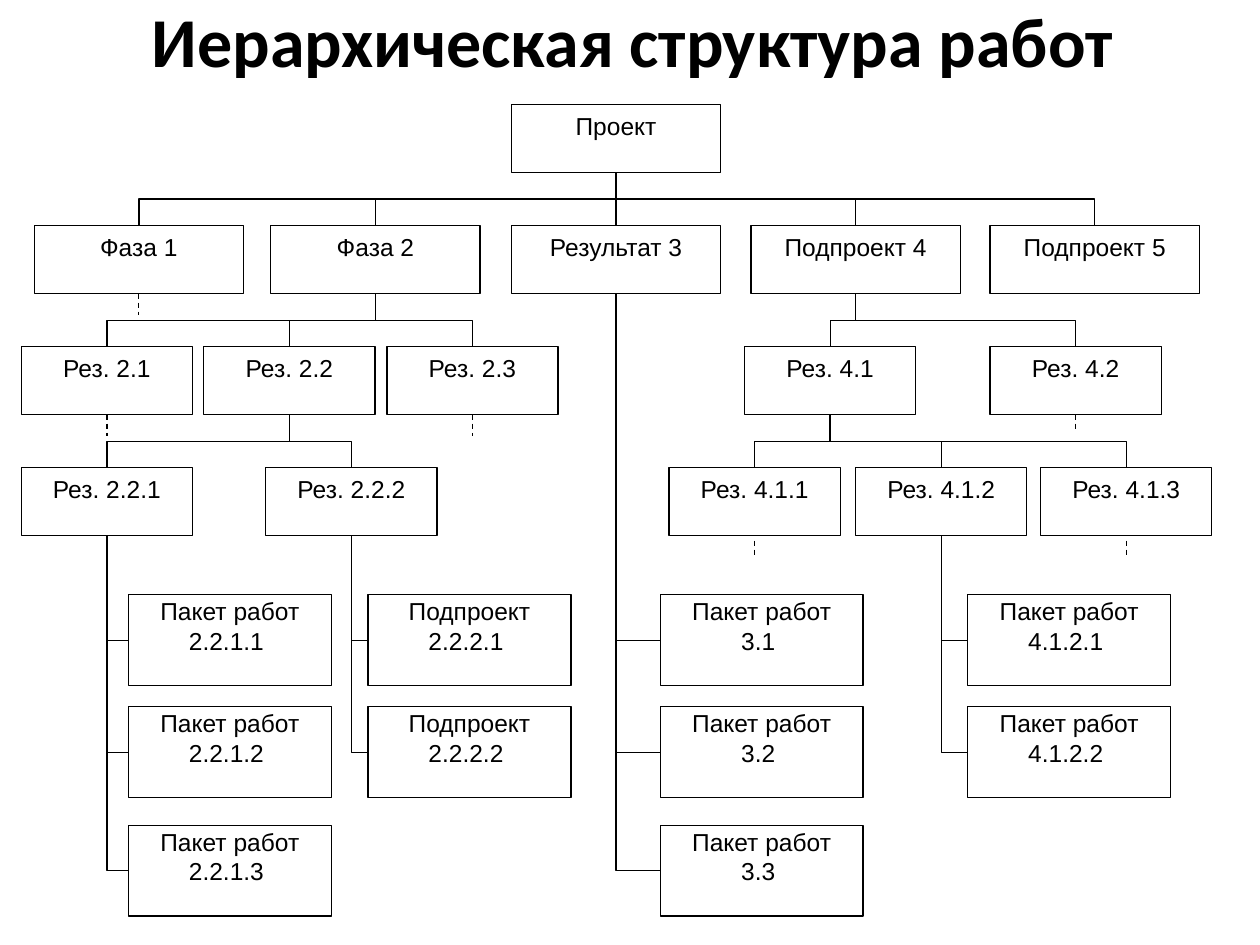
"""Build the work breakdown structure slide."""
from dataclasses import dataclass

from lxml import etree
from pptx import Presentation
from pptx.dml.color import RGBColor
from pptx.enum.dml import MSO_LINE
from pptx.enum.shapes import MSO_CONNECTOR, MSO_SHAPE
from pptx.enum.text import MSO_ANCHOR, MSO_AUTO_SIZE, PP_ALIGN
from pptx.oxml.ns import qn
from pptx.shapes.autoshape import Shape
from pptx.shapes.connector import Connector
from pptx.slide import Slide
from pptx.util import Cm, Pt

RECTANGLE = MSO_SHAPE.RECTANGLE
STRAIGHT, ELBOW = MSO_CONNECTOR.STRAIGHT, MSO_CONNECTOR.ELBOW
DASH = MSO_LINE.DASH
TOP = MSO_ANCHOR.TOP
CENTER = PP_ALIGN.CENTER
FIT_SHAPE = MSO_AUTO_SIZE.SHAPE_TO_FIT_TEXT
TOP_SIDE, LEFT_SIDE, BOTTOM_SIDE = 0, 1, 2

BLACK, WHITE = "000000", "FFFFFF"
LINE_WIDTH = Pt(0.75)
FIRST_TOP, LEVEL_STEP, BOX_HEIGHT = 2.11, 2.44, 1.37
WIDE, NARROW = 4.22, 3.45
PACKAGE_TOPS = (11.99, 14.25, 16.64)
PACKAGE_WIDTH, PACKAGE_HEIGHT = 4.09, 1.83
LOOSE_INSET, TIGHT_INSET = 0.25, 0.05


@dataclass(frozen=True)
class Node:
    """A box of the tree, placed by its level and named by its code."""

    code: str
    kind: str
    level: int
    left: float
    inset: float = LOOSE_INSET


@dataclass(frozen=True)
class PackageColumn:
    """A stack of numbered boxes hanging from one parent."""

    parent: str
    kind: str
    left: float
    count: int


@dataclass(frozen=True)
class Stub:
    """A dashed line that hints at hidden children."""

    code: str
    length: float
    gap: float = 0


NODES = (
    Node("", "Проект", 0, 10.31),
    Node("1", "Фаза", 1, 0.69),
    Node("2", "Фаза", 1, 5.46),
    Node("3", "Результат", 1, 10.31, TIGHT_INSET),
    Node("4", "Подпроект", 1, 15.14, TIGHT_INSET),
    Node("5", "Подпроект", 1, 19.96, TIGHT_INSET),
    Node("2.1", "Рез.", 2, 0.43),
    Node("2.2", "Рез.", 2, 4.11),
    Node("2.3", "Рез.", 2, 7.8),
    Node("4.1", "Рез.", 2, 15.01),
    Node("4.2", "Рез.", 2, 19.96),
    Node("2.2.1", "Рез.", 3, 0.43, TIGHT_INSET),
    Node("2.2.2", "Рез.", 3, 5.36, TIGHT_INSET),
    Node("4.1.1", "Рез.", 3, 13.49, TIGHT_INSET),
    Node("4.1.2", "Рез.", 3, 17.25, TIGHT_INSET),
    Node("4.1.3", "Рез.", 3, 20.98, TIGHT_INSET),
)
PACKAGES = (
    PackageColumn("2.2.1", "Пакет работ", 2.59, 3),
    PackageColumn("2.2.2", "Подпроект", 7.42, 2),
    PackageColumn("3", "Пакет работ", 13.31, 3),
    PackageColumn("4.1.2", "Пакет работ", 19.51, 2),
)
STUBS = (
    Stub("1", 0.43),
    Stub("2.1", 0.43),
    Stub("2.3", 0.43),
    Stub("4.2", 0.33),
    Stub("4.1.1", 0.33, 0.1),
    Stub("4.1.3", 0.33, 0.1),
)


def color(value: str) -> RGBColor:
    """Turn a hex string into a colour."""
    return RGBColor.from_string(value)


def write(shape: Shape, text: str, font_name: str, size: float, bold: bool = False) -> None:
    """Fill a shape with centred text."""
    frame = shape.text_frame
    frame.word_wrap = True
    frame.vertical_anchor = TOP
    frame.text = text
    for paragraph in frame.paragraphs:
        paragraph.alignment = CENTER
        paragraph.font.name = font_name
        paragraph.font.size = Pt(size)
        paragraph.font.bold = bold
        paragraph.font.color.rgb = color(BLACK)


def add_title(slide: Slide, text: str) -> None:
    """Add the heading."""
    title = slide.shapes.add_textbox(Cm(1.47), Cm(-0.18), Cm(22.56), Cm(1.96))
    write(title, text, "Calibri", 40, bold=True)
    title.text_frame.auto_size = FIT_SHAPE


def add_box(slide: Slide, text: str, left: float, top: float, width: float, height: float,
            side_inset: float, end_inset: float) -> Shape:
    """Add an outlined white box with text at its top."""
    box = slide.shapes.add_shape(RECTANGLE, Cm(left), Cm(top), Cm(width), Cm(height))
    box.shadow.inherit = False
    box.fill.solid()
    box.fill.fore_color.rgb = color(WHITE)
    box.line.color.rgb = color(BLACK)
    box.line.width = LINE_WIDTH
    write(box, text, "Arial", 14)
    frame = box.text_frame
    frame.margin_left = frame.margin_right = Cm(side_inset)
    frame.margin_top = frame.margin_bottom = Cm(end_inset)
    return box


def add_node(slide: Slide, node: Node) -> Shape:
    """Add one box of the tree."""
    text = f"{node.kind} {node.code}".strip()
    top = FIRST_TOP + node.level * LEVEL_STEP
    width = WIDE if node.level < 2 else NARROW
    return add_box(slide, text, node.left, top, width, BOX_HEIGHT, node.inset, 0.13)


def style_line(connector: Connector) -> None:
    """Give a connector a thin black line without a shadow."""
    connector.line.color.rgb = color(BLACK)
    connector.line.width = LINE_WIDTH
    etree.SubElement(connector._element.spPr, qn("a:effectLst"))


def add_link(slide: Slide, parent: Shape, child: Shape, side: int) -> None:
    """Join the bottom of a parent to a side of its child, leaving downwards."""
    begin_x, begin_y = parent.left + parent.width // 2, parent.top + parent.height
    if side == TOP_SIDE:
        end_x, end_y = child.left + child.width // 2, child.top
    else:
        end_x, end_y = child.left, child.top + child.height // 2
    across, down = end_x - begin_x, end_y - begin_y
    kind = ELBOW if across else STRAIGHT
    connector = slide.shapes.add_connector(kind, begin_x, begin_y, end_x, end_y)
    connector.begin_connect(parent, BOTTOM_SIDE)
    connector.end_connect(child, side)
    style_line(connector)
    if kind == STRAIGHT:
        return
    connector.width, connector.height = down, abs(across)
    connector.left = (begin_x + end_x - down) // 2
    connector.top = (begin_y + end_y - abs(across)) // 2
    properties = connector._element.spPr
    transform = properties.find(qn("a:xfrm"))
    transform.set("rot", "16200000" if across > 0 else "5400000")
    transform.set("flipH", "1" if across > 0 else "0")
    if side == LEFT_SIDE:
        properties.find(qn("a:prstGeom")).set("prst", "bentConnector2")


def add_stub(slide: Slide, stub: Stub, box: Shape) -> None:
    """Add a dashed line below a box."""
    x, y = box.left + box.width // 2, box.top + box.height + Cm(stub.gap)
    connector = slide.shapes.add_connector(STRAIGHT, x, y, x, y + Cm(stub.length))
    if not stub.gap:
        connector.begin_connect(box, BOTTOM_SIDE)
    style_line(connector)
    connector.line.dash_style = DASH


def main() -> None:
    """Build and save the presentation."""
    presentation = Presentation()
    presentation.slide_width, presentation.slide_height = Cm(25.4), Cm(19.05)
    slide = presentation.slides.add_slide(presentation.slide_layouts[6])
    add_title(slide, "Иерархическая структура работ")
    boxes = {node.code: add_node(slide, node) for node in NODES}
    for node in NODES[1:]:
        add_link(slide, boxes[node.code.rpartition(".")[0]], boxes[node.code], TOP_SIDE)
    for column in PACKAGES:
        for number, top in enumerate(PACKAGE_TOPS[:column.count], start=1):
            text = f"{column.kind}\n{column.parent}.{number} "
            package = add_box(slide, text, column.left, top, PACKAGE_WIDTH, PACKAGE_HEIGHT,
                              TIGHT_INSET, 0.03)
            add_link(slide, boxes[column.parent], package, LEFT_SIDE)
    for stub in STUBS:
        add_stub(slide, stub, boxes[stub.code])
    presentation.save("out.pptx")


if __name__ == "__main__":
    main()
